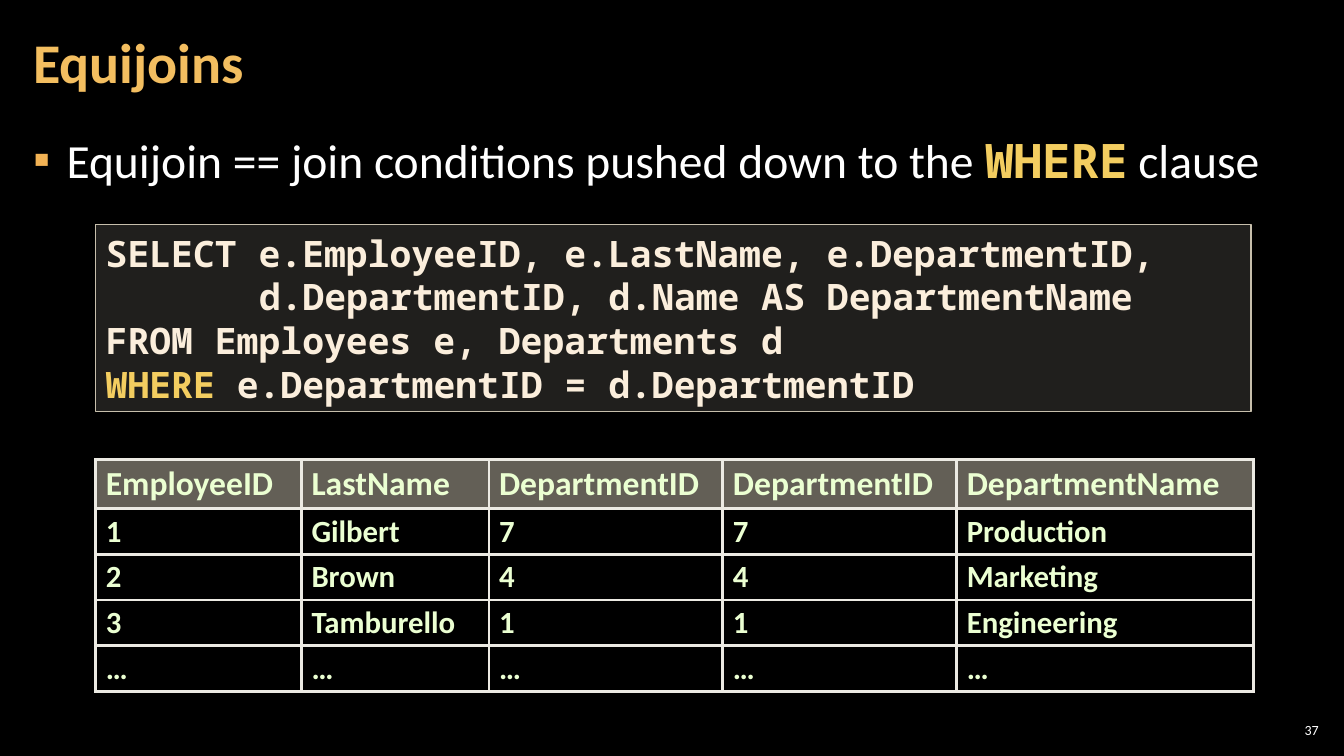
"""Build the Equijoins slide with a SQL example and its result table."""
from pptx import Presentation
from pptx import util as u
from pptx.dml.color import RGBColor
from pptx.enum import shapes, text
from pptx.oxml import ns
from lxml import etree

BLACK = RGBColor(0x00, 0x00, 0x00)
WHITE = RGBColor(0xFF, 0xFF, 0xFF)
TITLE_GOLD = RGBColor(0xF3, 0xBE, 0x60)
BULLET_ORANGE = RGBColor(0xF2, 0xB2, 0x54)
KEYWORD_YELLOW = RGBColor(0xF3, 0xCD, 0x60)
CODE_CREAM = RGBColor(0xFB, 0xEE, 0xDC)
CODE_FILL = RGBColor(0xD9, 0xD5, 0xC7)
SAND = RGBColor(0xC7, 0xBF, 0xAC)
BORDER = RGBColor(0xEC, 0xEA, 0xE3)
CELL_GREEN = RGBColor(0xEB, 0xFF, 0xD2)

BODY_FONT = "Calibri"
CODE_FONT = "Noto Sans Mono"
MIDDLE = text.MSO_ANCHOR.MIDDLE
LEFT = text.PP_ALIGN.LEFT

CODE_LINES = [
    (["SELECT e.EmployeeID, e.LastName, e.DepartmentID,"], 0),
    (["d.DepartmentID, d.Name AS DepartmentName"], 1.52),
    (["FROM Employees e, Departments d"], 0),
    (["WHERE", " e.DepartmentID = d.DepartmentID"], 0),
]
COLUMN_WIDTHS = [2.04, 1.86, 2.32, 2.32, 2.94]
RESULT_ROWS = [
    ["EmployeeID", "LastName", "DepartmentID", "DepartmentID", "DepartmentName"],
    ["1", "Gilbert", "7", "7", "Production"],
    ["2", "Brown", "4", "4", "Marketing"],
    ["3", "Tamburello", "1", "1", "Engineering"],
    ["…"] * 5,
]


def add_element(parent, tag, **attributes):
    return etree.SubElement(parent, ns.qn(tag), attributes)


class SlideBuilder:
    """Holds the style and the current slide."""

    title_style = {"name": BODY_FONT, "size": u.Pt(40), "bold": True, "color": TITLE_GOLD}
    body_style = {"name": BODY_FONT, "size": u.Pt(34), "bold": False, "color": WHITE}
    code_style = {"name": CODE_FONT, "size": u.Pt(26), "bold": True, "color": CODE_CREAM}
    header_style = {"name": BODY_FONT, "size": u.Pt(24), "bold": True, "color": CELL_GREEN}
    cell_style = {**header_style, "size": u.Pt(22)}
    number_style = {**body_style, "size": u.Pt(10)}
    keyword_style = {"name": CODE_FONT, "bold": True, "color": KEYWORD_YELLOW}

    def __init__(self, presentation):
        self.slide = presentation.slides.add_slide(presentation.slide_layouts[5])
        background = self.slide.background.fill
        background.solid()
        background.fore_color.rgb = BLACK

    def add_runs(self, paragraph, pieces, style, **layout):
        for name, value in layout.items():
            setattr(paragraph, name, value)
        for piece in pieces:
            run = paragraph.add_run()
            run.text = piece
            values = {**style, **self.keyword_style} if piece == "WHERE" else style
            for name, value in values.items():
                if name == "color":
                    run.font.color.rgb = value
                else:
                    setattr(run.font, name, value)

    def place(self, shape, left, top, width, height):
        box = {"left": left, "top": top, "width": width, "height": height}
        for name, value in box.items():
            setattr(shape, name, u.Inches(value))

    def frame(self, shape, side, anchor):
        frame = shape.text_frame
        values = {
            "word_wrap": True, "auto_size": text.MSO_AUTO_SIZE.NONE,
            "vertical_anchor": anchor,
            "margin_left": u.Inches(side), "margin_right": u.Inches(side),
            "margin_top": u.Inches(0.04), "margin_bottom": u.Inches(0.04),
        }
        for name, value in values.items():
            setattr(frame, name, value)
        return frame.paragraphs[0]

    def text_box(self, box, side, anchor):
        shape = self.slide.shapes.add_textbox(*map(u.Inches, box))
        return self.frame(shape, side, anchor)

    def tint(self, fill, parent, color, percent):
        fill.solid()
        fill.fore_color.rgb = color
        solid = parent.find(ns.qn("a:solidFill"))
        add_element(solid[0], "a:alpha", val=str(percent * 1000))

    def title(self, words, *box):
        shape = self.slide.shapes.title
        self.place(shape, *box)
        paragraph = self.frame(shape, 0.12, MIDDLE)
        self.add_runs(paragraph, [words], self.title_style, alignment=LEFT, line_spacing=0.9)

    def bullet(self, pieces, *box):
        paragraph = self.text_box(box, 0.12, text.MSO_ANCHOR.TOP)
        self.add_runs(paragraph, pieces, self.body_style,
                      space_before=u.Pt(6), space_after=u.Pt(6))
        properties = paragraph._p.get_or_add_pPr()
        properties.set("marL", str(u.Inches(0.33)))
        properties.set("indent", str(-u.Inches(0.33)))
        color = add_element(properties, "a:buClr")
        add_element(color, "a:srgbClr", val=str(BULLET_ORANGE))
        add_element(properties, "a:buFont", typeface=BODY_FONT)
        add_element(properties, "a:buChar", char="▪")

    def code(self, lines, *box):
        shape = self.slide.shapes.add_shape(shapes.MSO_SHAPE.RECTANGLE, *map(u.Inches, box))
        shape.shadow.inherit = False
        self.tint(shape.fill, shape._element.spPr, CODE_FILL, 15)
        shape.line.color.rgb = SAND
        shape.line.width = u.Pt(1)
        frame = shape.text_frame
        frame.word_wrap = True
        for index, (pieces, indent) in enumerate(lines):
            paragraph = frame.add_paragraph() if index else frame.paragraphs[0]
            self.add_runs(paragraph, pieces, self.code_style, alignment=LEFT)
            paragraph._p.get_or_add_pPr().set("marL", str(u.Inches(indent)))

    def borders(self, properties):
        for side in ("L", "R", "T", "B"):
            line = add_element(properties, f"a:ln{side}", w=str(u.Pt(2.25)))
            fill = add_element(line, "a:solidFill")
            add_element(fill, "a:srgbClr", val=str(BORDER))

    def table(self, rows, widths, left, top, header_height, row_height):
        height = header_height + row_height * (len(rows) - 1)
        table = self.slide.shapes.add_table(
            len(rows), len(widths), u.Inches(left), u.Inches(top),
            u.Inches(sum(widths)), u.Inches(height)).table
        table.horz_banding = False
        for column, width in zip(table.columns, widths):
            column.width = u.Inches(width)
        for index, values in enumerate(rows):
            is_header = index == 0
            table.rows[index].height = u.Inches(header_height if is_header else row_height)
            for cell, value in zip(table.rows[index].cells, values):
                properties = cell._tc.get_or_add_tcPr()
                self.borders(properties)
                if is_header:
                    cell.vertical_anchor = MIDDLE
                    self.tint(cell.fill, properties, SAND, 50)
                else:
                    cell.fill.background()
                style = self.header_style if is_header else self.cell_style
                self.add_runs(cell.text_frame.paragraphs[0], [value], style, line_spacing=0.95)

    def page_number(self, number, *box):
        paragraph = self.text_box(box, 0.04, MIDDLE)
        self.add_runs(paragraph, [number], self.number_style, alignment=text.PP_ALIGN.RIGHT)


def main():
    presentation = Presentation()
    presentation.slide_width = u.Inches(13.33)
    presentation.slide_height = u.Inches(7.5)
    builder = SlideBuilder(presentation)
    builder.bullet(["Equijoin == join conditions pushed down to the ", "WHERE", " clause"],
                   0.21, 1.26, 12.91, 6.09)
    builder.title("Equijoins", 0.21, 0.04, 10.47, 1.21)
    builder.code(CODE_LINES, 0.95, 2.23, 11.46, 1.85)
    builder.table(RESULT_ROWS, COLUMN_WIDTHS, 0.95, 4.56, 0.48, 0.45)
    builder.page_number("37", 12.65, 7.14, 0.47, 0.21)
    presentation.save("out.pptx")


if __name__ == "__main__":
    main()
